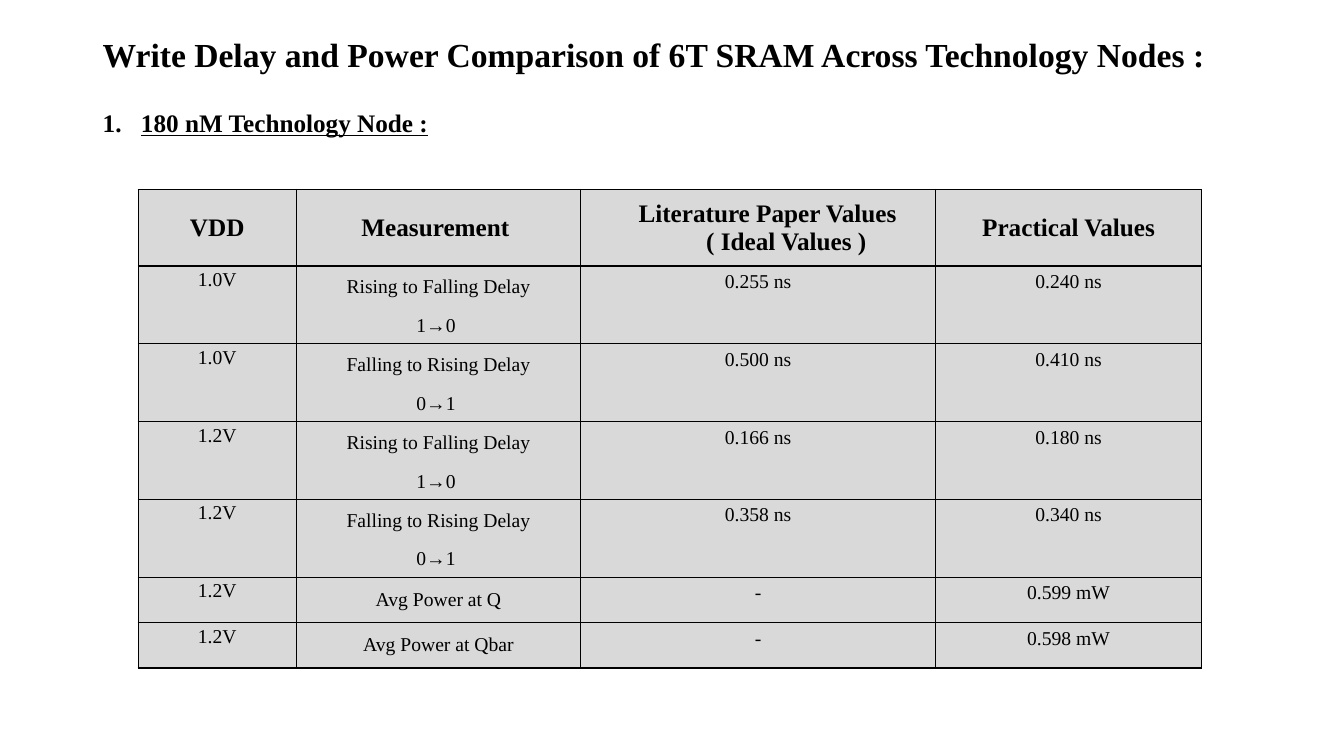
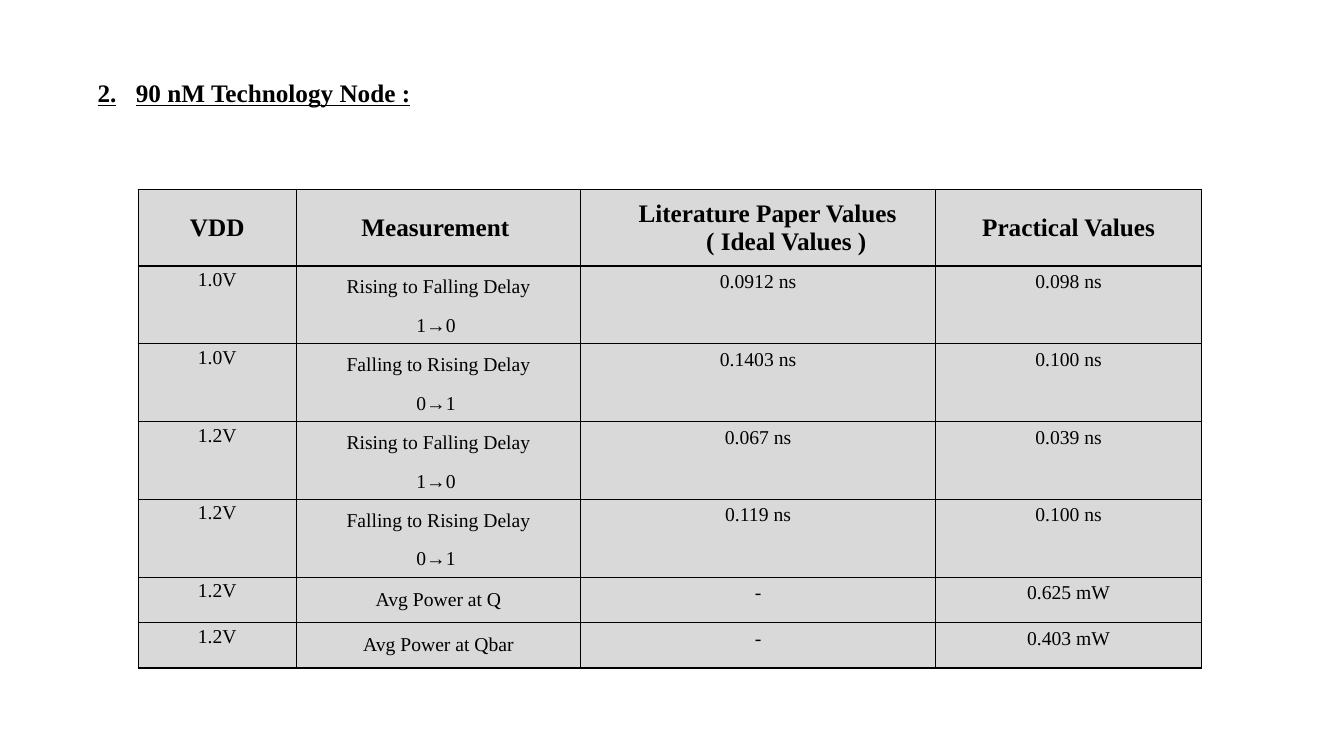
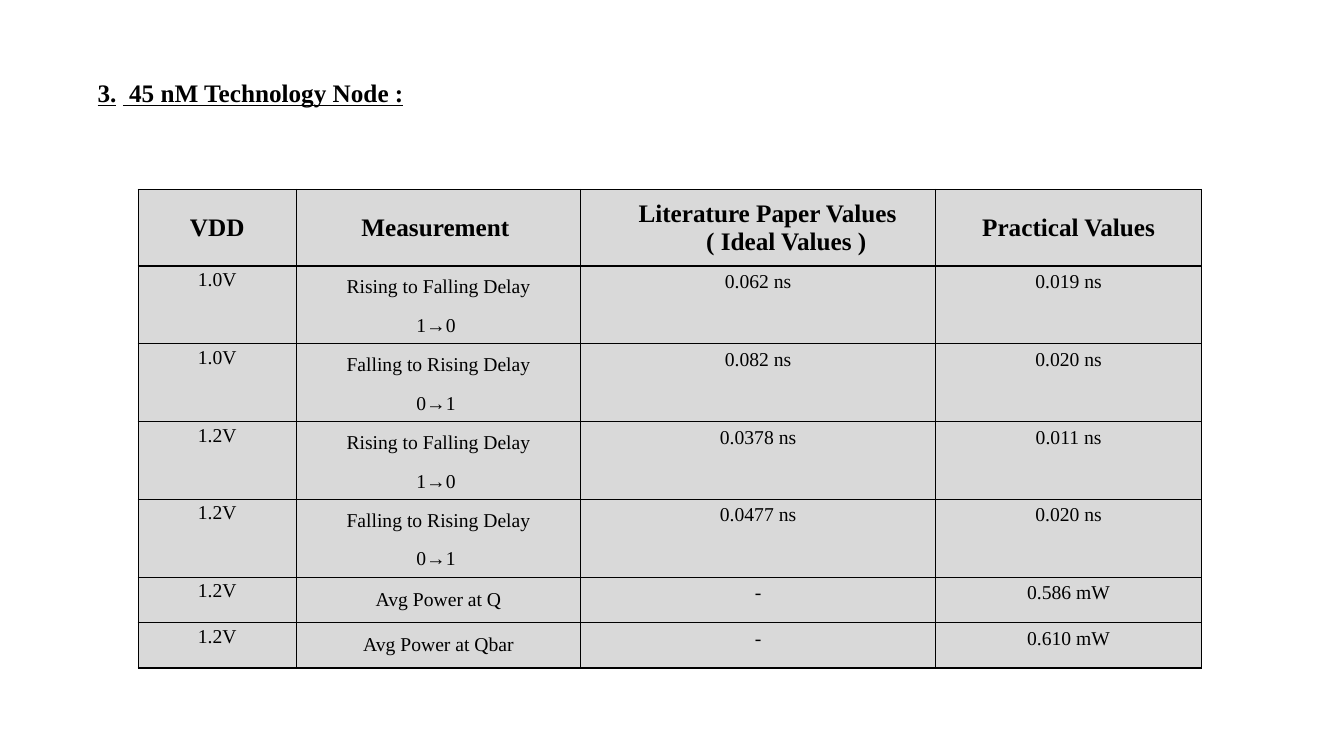
from collections import namedtuple
from dataclasses import dataclass

from lxml.etree import SubElement
from pptx import Presentation
from pptx.dml.color import RGBColor
from pptx.enum.text import MSO_ANCHOR as Anchor, PP_ALIGN as Align
from pptx.oxml import parse_xml
from pptx.oxml.ns import nsdecls, qn
from pptx.util import Inches, Pt

Box = namedtuple("Box", "left top width height")
Node = namedtuple("Node", "number gap name box values")


@dataclass(frozen=True)
class Theme:
    font: str = "Times New Roman"
    ink: str = "000000"
    cell_fill: str = "D9D9D9"
    title_size: int = 24
    heading_size: int = 18
    body_size: int = 14
    border: float = 1
    line_spacing: float = 1.14
    space_after: int = 10
    number_indent: float = 0.38


THEME = Theme()

TITLE = "Write Delay and Power Comparison of 6T SRAM Across Technology Nodes :"
TITLE_BOX = Box(0.92, 0.01, 12.16, 1.1)
TABLE_BOX = Box(1.37, 1.88, 10.55, 4.7)
COLUMN_WIDTHS = [1.57, 2.82, 3.52, 2.64]
ROW_HEIGHTS = [0.76] * 5 + [0.45] * 2

HEADERS = ["VDD", "Measurement ", "Literature Paper Values \n( Ideal Values )", "Practical Values"]
LITERATURE_INDENTS = [0.25, 0.56]
FALLING = "Rising to Falling Delay\n1→0 "
RISING = "Falling to Rising Delay\n0→1 "
MEASUREMENTS = [
    ("1.0V", FALLING),
    ("1.0V", RISING),
    ("1.2V", FALLING),
    ("1.2V", RISING),
    ("1.2V", "Avg Power at Q"),
    ("1.2V", "Avg Power at Qbar"),
]

NODES = [
    Node(1, None, "180 nM Technology Node :", Box(0.92, 1.02, 4.44, 0.4), [
        ("0.255 ns", "0.240 ns"), ("0.500 ns", "0.410 ns"),
        ("0.166 ns", "0.180 ns"), ("0.358 ns", "0.340 ns"),
        ("-", "0.599 mW"), ("-", "0.598 mW")]),
    Node(2, "\t", "90 nM Technology Node :", Box(0.87, 0.72, 4.44, 0.4), [
        ("0.0912 ns", "0.098 ns"), ("0.1403 ns", "0.100 ns"),
        ("0.067 ns", "0.039 ns"), ("0.119 ns", "0.100 ns"),
        ("-", "0.625 mW"), ("-", "0.403 mW")]),
    Node(3, " ", " 45 nM Technology Node :", Box(0.87, 0.72, 4.5, 0.4), [
        ("0.062 ns", "0.019 ns"), ("0.082 ns", "0.020 ns"),
        ("0.0378 ns", "0.011 ns"), ("0.0477 ns", "0.020 ns"),
        ("-", "0.586 mW"), ("-", "0.610 mW")]),
]


def style(span, size, bold=False, underline=False):
    font = span.font
    font.name = THEME.font
    font.size = Pt(size)
    font.bold = bold
    font.underline = underline
    font.color.rgb = RGBColor.from_string(THEME.ink)


def indent(para, left, first=0):
    props = para._p.get_or_add_pPr()
    props.set("marL", str(Inches(left)))
    props.set("indent", str(Inches(first)))
    return props


def add_text_frame(page, box):
    frame = page.shapes.add_textbox(*map(Inches, box)).text_frame
    frame.word_wrap = True
    return frame


def add_title(page, box):
    frame = add_text_frame(page, box)
    frame.text = TITLE
    frame.vertical_anchor = Anchor.MIDDLE
    para = frame.paragraphs[0]
    para.line_spacing = 0.9
    style(para.runs[0], THEME.title_size, bold=True)


def add_heading(page, node):
    """Number the node's name: automatically if it has no gap, else as typed text."""
    para = add_text_frame(page, node.box).paragraphs[0]
    props = indent(para, THEME.number_indent, -THEME.number_indent)
    if node.gap is None:
        SubElement(props, qn("a:buFont"), typeface="+mj-lt")
        SubElement(props, qn("a:buAutoNum"), type="arabicPeriod", startAt=str(node.number))
        parts = [(node.name, True)]
    else:
        parts = [(f"{node.number}.", True), (node.gap, False), (node.name, True)]
    for text, underline in parts:
        span = para.add_run()
        span.text = text
        style(span, THEME.heading_size, bold=True, underline=underline)


def set_borders(cell):
    props = cell._tc.get_or_add_tcPr()
    for position, side in enumerate(("lnL", "lnR", "lnT", "lnB")):
        props.insert(position, parse_xml(
            f'<a:{side} {nsdecls("a")} w="{Pt(THEME.border)}"><a:solidFill>'
            f'<a:srgbClr val="{THEME.ink}"/></a:solidFill></a:{side}>'))


def fill_cell(cell, text, size, bold=False, middle=False, spaced=False):
    cell.fill.solid()
    cell.fill.fore_color.rgb = RGBColor.from_string(THEME.cell_fill)
    set_borders(cell)
    cell.vertical_anchor = Anchor.MIDDLE if middle else Anchor.TOP
    cell.text_frame.text = text
    for para in cell.text_frame.paragraphs:
        para.alignment = Align.CENTER
        if spaced:
            para.line_spacing = THEME.line_spacing
            para.space_after = Pt(THEME.space_after)
        for span in para.runs:
            style(span, size, bold)


def fill_header(table):
    for column, text in enumerate(HEADERS):
        fill_cell(table.cell(0, column), text, THEME.heading_size, bold=True, middle=True)
    for para, left in zip(table.cell(0, 2).text_frame.paragraphs, LITERATURE_INDENTS):
        indent(para, left)


def fill_measurement(cells, supply, measurement, values):
    supply_cell, measurement_cell, *value_cells = cells
    fill_cell(supply_cell, supply, THEME.body_size, spaced=True)
    supply_cell.margin_left = supply_cell.margin_right = Inches(0.07)
    supply_cell.margin_top = supply_cell.margin_bottom = 0
    fill_cell(measurement_cell, measurement, THEME.body_size, middle=True,
              spaced="\n" in measurement)
    for cell, value in zip(value_cells, values):
        fill_cell(cell, value, THEME.body_size)


def add_results_table(page, box, values):
    table = page.shapes.add_table(
        len(ROW_HEIGHTS), len(COLUMN_WIDTHS), *map(Inches, box)).table
    table.first_row = table.horz_banding = False
    for column, width in zip(table.columns, COLUMN_WIDTHS):
        column.width = Inches(width)
    for row, height in zip(table.rows, ROW_HEIGHTS):
        row.height = Inches(height)
    fill_header(table)
    for index, ((supply, measurement), pair) in enumerate(zip(MEASUREMENTS, values), 1):
        fill_measurement(table.rows[index].cells, supply, measurement, pair)


def add_node_page(deck, node):
    page = deck.slides.add_slide(deck.slide_layouts[6])
    add_heading(page, node)
    add_results_table(page, TABLE_BOX, node.values)
    return page


def main():
    deck = Presentation()
    deck.slide_width, deck.slide_height = Inches(13.33), Inches(7.5)
    pages = [add_node_page(deck, node) for node in NODES]
    add_title(pages[0], TITLE_BOX)
    deck.save("out.pptx")


if __name__ == "__main__":
    main()
